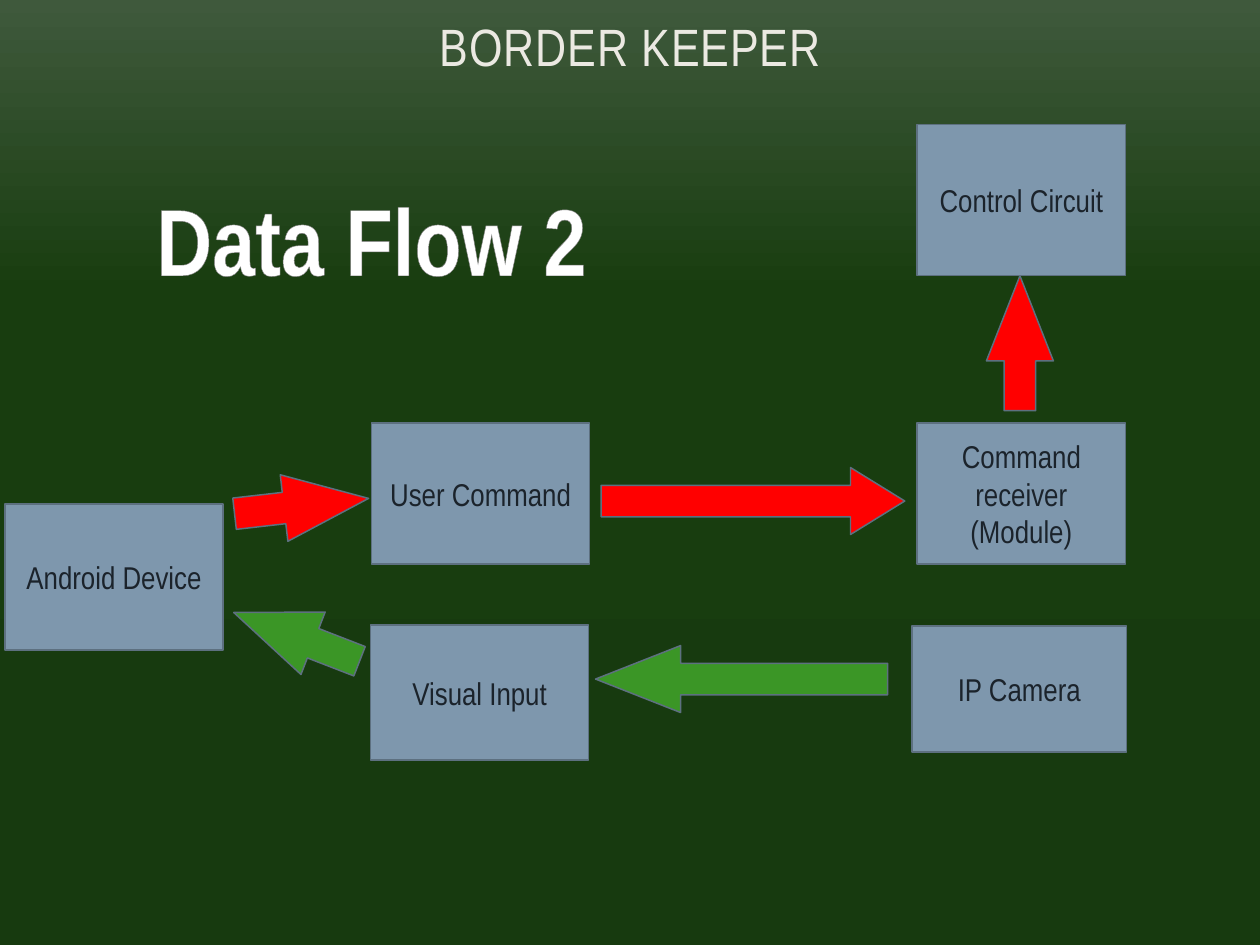
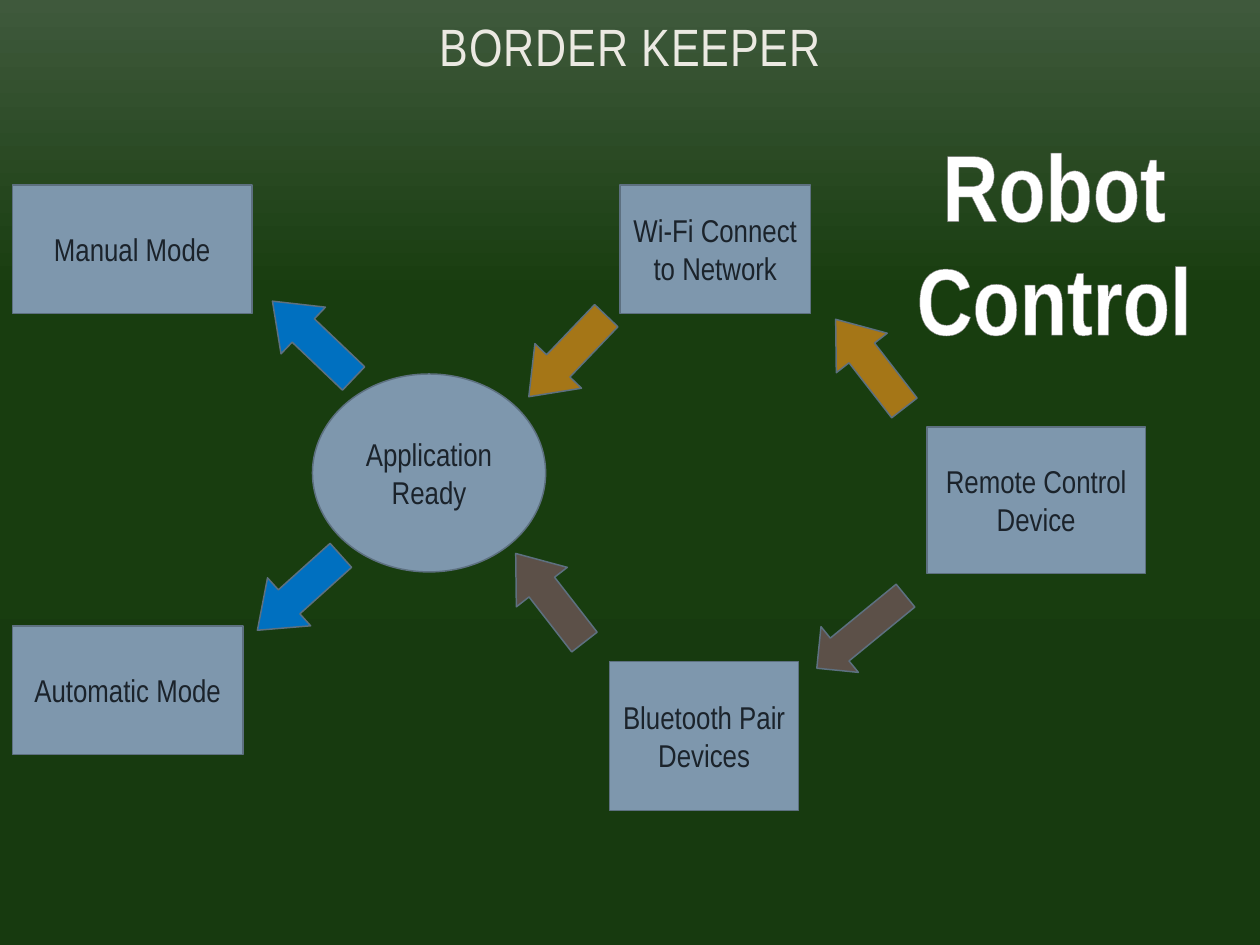
from collections import namedtuple
from dataclasses import dataclass

from lxml import etree
from pptx import Presentation
from pptx.dml.color import RGBColor
from pptx.enum.shapes import MSO_SHAPE as Preset
from pptx.enum.text import MSO_ANCHOR as Anchor, MSO_AUTO_SIZE as AutoSize, PP_ALIGN as Align
from pptx.oxml.ns import qn
from pptx.util import Cm, Pt


@dataclass(frozen=True)
class Theme:
    font: str = "Arial Narrow"
    title_size: int = 30
    heading_size: int = 54
    node_size: int = 18
    title: str = "EBE9E2"
    node: str = "7E97AD"
    node_text: str = "1B232B"
    outline: str = "5D7080"
    outline_width: float = 0.85
    heading_edge: str = "7D7D7D"
    command: str = "FF0000"
    video: str = "3B9626"
    wifi: str = "A57617"
    pairing: str = "5C5048"
    mode: str = "0070C0"
    backdrop: tuple = ((0, "3F593C"), (31, "183D0F"), (100, "173A0F"))
    sheen: tuple = ((0, "FFFFFF"), (9, "FFFFFF"), (50, "7F7F7F"),
                    (79, "FFFFFF"), (100, "FFFFFF"))


THEME = Theme()
Box = namedtuple("Box", "left top width height")
Node = namedtuple("Node", "text box preset", defaults=(Preset.RECTANGLE,))
# Arrow styles: preset, size along the heading, size across it, adjustments
Style = namedtuple("Style", "preset width height adjustments")
Arrow = namedtuple("Arrow", "x y rotation color style")

PAGE = Box(0, 0, 25.4, 19.05)
TITLE_BAND = Box(1.7, 0.13, 22.02, 1.55)
DIAGRAM = Box(0, 2, 25.4, 17.05)

SHORT = Style(Preset.DOWN_ARROW, 1.35, 2.72, (0.47, 1.27))
LONG_COMMAND = Style(Preset.DOWN_ARROW, 1.35, 6.12, (0.47, 0.81))
LONG_VIDEO = Style(Preset.DOWN_ARROW, 1.35, 5.89, (0.47, 1.27))
STEP = Style(Preset.RIGHT_ARROW, 2.26, 1.3, (0.5, 0.66))
SLIM = Style(Preset.DOWN_ARROW, 1.19, 2.31, (0.5, 0.5))


def within(outer, inner):
    return Box(outer.left + inner.left, outer.top + inner.top, inner.width, inner.height)


def lengths(box):
    return [Cm(side) for side in box]


def solid_fill(color):
    fill = etree.Element(qn("a:solidFill"))
    etree.SubElement(fill, qn("a:srgbClr"), val=color)
    return fill


def vertical_gradient(stops):
    fill = etree.Element(qn("a:gradFill"), rotWithShape="1")
    stop_list = etree.SubElement(fill, qn("a:gsLst"))
    for percent, color in stops:
        stop = etree.SubElement(stop_list, qn("a:gs"), pos=str(percent * 1000))
        etree.SubElement(stop, qn("a:srgbClr"), val=color)
    etree.SubElement(fill, qn("a:lin"), ang="5400000", scaled="0")
    return fill


def write(shape, text, *, size, color=None, bold=False, anchor=Anchor.MIDDLE,
          wrap=True, spacing=None, sheen=None):
    """Write centred text, one paragraph per line."""
    frame = shape.text_frame
    frame.word_wrap = wrap
    frame.vertical_anchor = anchor
    for index, line in enumerate(text.split("\n")):
        paragraph = frame.add_paragraph() if index else frame.paragraphs[0]
        paragraph.alignment = Align.CENTER
        run = paragraph.add_run()
        run.text = line
        font = run.font
        font.name, font.size, font.bold = THEME.font, Pt(size), bold
        properties = run._r.get_or_add_rPr()
        if color:
            font.color.rgb = RGBColor.from_string(color)
        if spacing:
            properties.set("spc", str(round(spacing * 100)))
        if sheen:
            edge = etree.Element(qn("a:ln"), w=str(Pt(0.83)))
            edge.append(solid_fill(THEME.heading_edge))
            properties.insert(0, edge)
            properties.insert(1, vertical_gradient(sheen))


def outlined(slide, preset, box, color):
    shape = slide.shapes.add_shape(preset, *lengths(box))
    shape.shadow.inherit = False
    shape.fill.solid()
    shape.fill.fore_color.rgb = RGBColor.from_string(color)
    shape.line.color.rgb = RGBColor.from_string(THEME.outline)
    shape.line.width = Pt(THEME.outline_width)
    return shape


def add_background(slide):
    fill = slide.background.fill
    fill.solid()
    properties = slide._element.find(".//" + qn("p:bgPr"))
    properties.replace(properties.find(qn("a:solidFill")), vertical_gradient(THEME.backdrop))


def add_title(slide, box):
    title = slide.shapes.add_textbox(*lengths(box))
    write(title, "BORDER KEEPER", size=THEME.title_size, color=THEME.title,
          anchor=Anchor.BOTTOM, spacing=0.5)


def add_heading(slide, box, text, wrap):
    heading = slide.shapes.add_textbox(*lengths(box))
    write(heading, text, size=THEME.heading_size, bold=True, anchor=Anchor.TOP,
          wrap=wrap, sheen=THEME.sheen)
    heading.text_frame.auto_size = AutoSize.SHAPE_TO_FIT_TEXT


def add_arrow(slide, area, arrow):
    style = arrow.style
    box = Box(arrow.x - style.width / 2, arrow.y - style.height / 2,
              style.width, style.height)
    shape = outlined(slide, style.preset, within(area, box), arrow.color)
    shape.rotation = arrow.rotation
    for index, value in enumerate(style.adjustments):
        shape.adjustments[index] = value


def add_flow(slide, area, nodes, arrows):
    for arrow in arrows:
        add_arrow(slide, area, arrow)
    for node in nodes:
        shape = outlined(slide, node.preset, within(area, node.box), THEME.node)
        write(shape, node.text, size=THEME.node_size, color=THEME.node_text)


def flow_slide(deck, heading, heading_box, nodes, arrows, wrap=True):
    slide = deck.slides.add_slide(deck.slide_layouts[6])
    add_background(slide)
    add_title(slide, TITLE_BAND)
    add_flow(slide, DIAGRAM, nodes, arrows)
    add_heading(slide, within(DIAGRAM, heading_box), heading, wrap)


def data_flow(deck):
    right, command_row = 18.49, 6.53
    nodes = [
        Node("Android Device", Box(0.1, 8.16, 4.4, 2.95)),
        Node("User Command", Box(7.49, command_row, 4.4, 2.84)),
        Node("Command receiver\n(Module)", Box(right, command_row, 4.2, 2.84)),
        Node("Control Circuit", Box(right, 0.51, 4.2, 3.05)),
        Node("IP Camera", Box(18.39, 10.62, 4.32, 2.54)),
        Node("Visual Input", Box(7.47, 10.6, 4.4, 2.72)),
    ]
    arrows = [
        # Commands out to the circuit
        Arrow(6.08, 8.2, 263.5, THEME.command, SHORT),
        Arrow(15.18, 8.1, 270, THEME.command, LONG_COMMAND),
        Arrow(20.56, 4.92, 180, THEME.command, SHORT),
        # Video back to the device
        Arrow(14.95, 11.69, 90, THEME.video, LONG_VIDEO),
        Arrow(5.98, 10.84, 111.2, THEME.video, SHORT),
    ]
    flow_slide(deck, "Data Flow 2", Box(2.84, 1.53, 9.3, 2.57), nodes, arrows, wrap=False)


def robot_control(deck):
    left, top_row, mode_height = 0.25, 1.73, 2.59
    nodes = [
        Node("Remote Control Device", Box(18.69, 6.61, 4.4, 2.95)),
        Node("Wi-Fi Connect to Network", Box(12.5, top_row, 3.84, mode_height)),
        Node("Bluetooth Pair Devices", Box(12.29, 11.34, 3.81, 3)),
        Node("Application Ready", Box(6.3, 5.54, 4.7, 3.99), Preset.OVAL),
        Node("Manual Mode", Box(left, top_row, 4.83, mode_height)),
        Node("Automatic Mode", Box(left, 10.62, 4.65, mode_height)),
    ]
    arrows = [
        # Network route
        Arrow(17.54, 5.33, 232.2, THEME.wifi, STEP),
        Arrow(11.44, 5.18, 133.7, THEME.wifi, STEP),
        # Pairing route
        Arrow(17.36, 10.74, 50.7, THEME.pairing, SLIM),
        Arrow(11.09, 10.05, 232.2, THEME.pairing, STEP),
        # Choice of mode
        Arrow(6.31, 4.85, 223.6, THEME.mode, STEP),
        Arrow(6.03, 9.95, 138.1, THEME.mode, STEP),
    ]
    flow_slide(deck, "Robot Control", Box(17.42, 0.44, 7.67, 4.88), nodes, arrows)


def main():
    deck = Presentation()
    deck.slide_width, deck.slide_height = Cm(PAGE.width), Cm(PAGE.height)
    data_flow(deck)
    robot_control(deck)
    deck.save("out.pptx")


if __name__ == "__main__":
    main()
